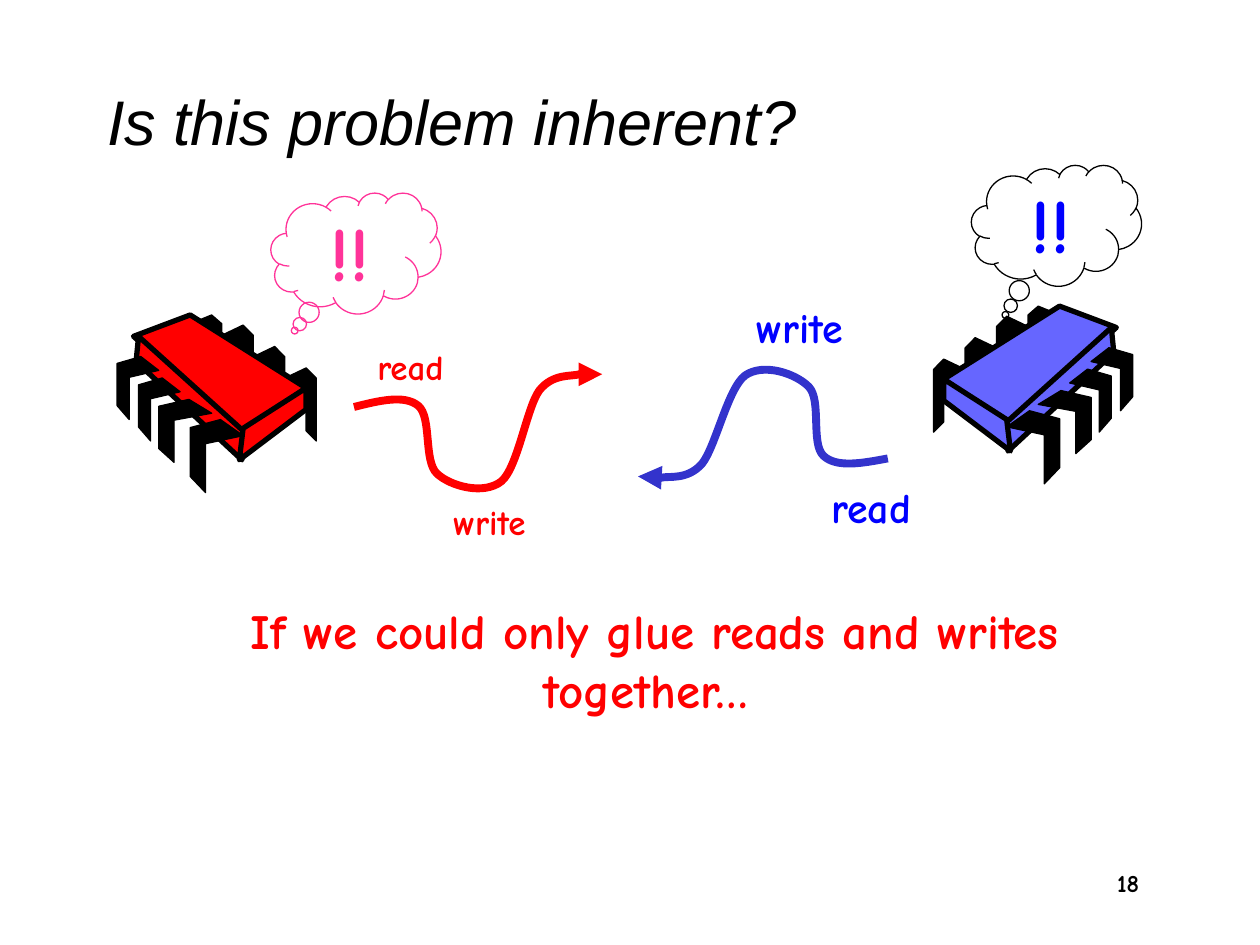
from collections import namedtuple

from lxml import etree
from pptx import Presentation
from pptx.dml.color import RGBColor
from pptx.enum.shapes import MSO_SHAPE as Preset
from pptx.enum.text import MSO_ANCHOR as Anchor, PP_ALIGN as Align
from pptx.oxml.ns import qn
from pptx.util import Inches, Pt

BLACK = RGBColor(0x00, 0x00, 0x00)
RED = RGBColor(0xFF, 0x00, 0x00)
BLUE = RGBColor(0x00, 0x00, 0xFF)
PINK = RGBColor(0xFF, 0x33, 0x99)
LAVENDER = RGBColor(0x66, 0x66, 0xFF)
INDIGO = RGBColor(0x33, 0x33, 0xCC)

COLUMNS, ROWS = 100, 75
WIDTH, HEIGHT = Inches(10), Inches(7.5)
HAND_FONT = "Comic Neue"

Box = namedtuple("Box", "left top width height")

BACK_LEG = [(0, 0.14), (0.68, 0), (1, 0.14), (1, 1), (0.68, 0.86), (0.68, 0.29), (0, 0.43)]
FRONT_LEG = [(0.57, 0), (1, 0.22), (0.29, 0.33), (0.29, 1), (0, 0.78), (0, 0.11)]
BACK_LEG_BOXES = [Box(13.3, 4.2, 2.5, 5.8), Box(10.8, 2.5, 2.5, 5.8),
                  Box(8.3, 0.8, 2.5, 5.8), Box(5.8, 0, 2.5, 5)]
FRONT_LEG_BOXES = [Box(5.8, 8.3, 4.2, 5.8), Box(3.3, 6.7, 4.2, 5),
                   Box(1.7, 5, 3.3, 5), Box(0, 3.3, 3.3, 5)]
CHIP_FACES = [
    [(5.8, 0), (15, 5.8), (9.9, 9.3), (1.3, 1.7)],
    [(1.7, 1.7), (10, 9.2), (9.9, 11.5), (1.5, 3.7)],
    [(15, 5.8), (15, 7.5), (9.7, 11.5), (10, 9)],
]
WAVE = [
    (0, 2.9), (2, 2.4), (4, 1.9), (5.1, 2.8), (6.2, 3.7), (5.5, 7.2), (6.6, 8.2),
    (7.7, 9.2), (10.3, 9.9), (11.7, 8.8), (13, 7.7), (13.7, 3), (14.7, 1.6),
    (15.8, 0.2), (17.3, 0.5), (17.9, 0.3), (18.6, 0), (18.5, 0.3), (18.8, 0.3),
    (19.1, 0.3), (19.4, 0.3), (19.7, 0.3),
]


def on_grid(column, row):
    return round(column * WIDTH / COLUMNS), round(row * HEIGHT / ROWS)


def on_slide(box):
    return on_grid(box.left, box.top) + on_grid(box.width, box.height)


def style_shape(shape, fill, line, weight):
    shape.shadow.inherit = False
    if fill is None:
        shape.fill.background()
    else:
        shape.fill.solid()
        shape.fill.fore_color.rgb = fill
    shape.line.color.rgb = line
    shape.line.width = Pt(weight)


def write_text(frame, text, size, color, align, font=HAND_FONT, bold=True):
    para = frame.paragraphs[0]
    para.text = text
    para.alignment = align
    para.font.name = font
    para.font.size = Pt(size)
    para.font.bold = bold
    para.font.color.rgb = color
    return para


def add_outline(shapes, box, points, closed=True):
    spots = [on_grid(box.left + x, box.top + y) for x, y in points]
    builder = shapes.build_freeform(*spots[0])
    builder.add_line_segments(spots[1:], close=closed)
    return builder.convert_to_shape()


def add_chip(page, box, color, mirrored=False):
    shapes = page.shapes.add_group_shape().shapes

    def add_part(points, fill, weight):
        if mirrored:
            points = [(box.width - x, y) for x, y in points]
        style_shape(add_outline(shapes, box, points), fill, BLACK, weight)

    def add_legs(outline, leg_boxes):
        for leg in leg_boxes:
            points = [(leg.left + x * leg.width, leg.top + y * leg.height) for x, y in outline]
            add_part(points, BLACK, 0.75)

    add_legs(BACK_LEG, BACK_LEG_BOXES)
    for face in CHIP_FACES:
        add_part(face, color, 3)
    add_legs(FRONT_LEG, FRONT_LEG_BOXES)


def add_wave(page, box, color, rotation=0):
    wave = add_outline(page.shapes, box, WAVE, closed=False)
    style_shape(wave, None, color, 4.5)
    wave.rotation = rotation
    outline = next(wave.element.iter(qn("a:path")))
    steps = outline.findall(qn("a:lnTo"))
    for start in range(0, len(steps), 3):
        curve = etree.SubElement(outline, qn("a:cubicBezTo"))
        for step in steps[start:start + 3]:
            curve.append(step[0])
            outline.remove(step)
    etree.SubElement(wave.line._get_or_add_ln(), qn("a:tailEnd"), type="triangle")


def add_label(page, box, text, size, color, align=Align.RIGHT, wrap=False):
    frame = page.shapes.add_textbox(*on_slide(box)).text_frame
    frame.word_wrap = wrap
    write_text(frame, text, size, color, align)


def add_thought(page, box, tail, line, color):
    cloud = page.shapes.add_shape(Preset.CLOUD_CALLOUT, *on_slide(box))
    cloud.adjustments[0], cloud.adjustments[1] = tail
    style_shape(cloud, None, line, 0.75)
    cloud.text_frame.vertical_anchor = Anchor.MIDDLE
    write_text(cloud.text_frame, "!!", 44, color, Align.CENTER)


def add_title(page, box, text):
    title = page.shapes.title
    title.left, title.top, title.width, title.height = on_slide(box)
    title.text_frame.vertical_anchor = Anchor.MIDDLE
    para = write_text(title.text_frame, text, 36, BLACK, Align.LEFT, "Arial", False)
    para.font.italic = True


def main():
    deck = Presentation()
    deck.slide_width, deck.slide_height = WIDTH, HEIGHT
    page = deck.slides.add_slide(deck.slide_layouts[5])
    add_title(page, Box(7.5, 3.3, 85, 12.5), "Is this problem inherent?")
    add_chip(page, Box(9.3, 25, 15.8, 14.2), RED)
    add_chip(page, Box(74.1, 24.3, 15.8, 14.2), LAVENDER, mirrored=True)
    add_wave(page, Box(28.1, 29.4, 19.7, 9.9), RED)
    add_wave(page, Box(50.9, 28.8, 19.7, 9.9), INDIGO, rotation=183.4)
    add_label(page, Box(17.5, 47.2, 68.9, 10.3),
              "If we could only glue reads and writes together… ", 28, RED, Align.CENTER, True)
    add_label(page, Box(28.3, 26.9, 7.9, 4.3), "read", 20, RED)
    add_label(page, Box(33.8, 39.2, 8.9, 4.3), "write", 20, RED)
    add_label(page, Box(64.2, 37.7, 9.1, 5), "read", 24, BLUE)
    add_label(page, Box(57.7, 23.4, 10.2, 5), "write", 24, BLUE)
    add_thought(page, Box(21.5, 15.3, 13.5, 9.6), (-0.36, 0.64), PINK, PINK)
    add_thought(page, Box(77.1, 13.1, 13.5, 9.6), (-0.3, 0.74), BLACK, BLUE)
    add_label(page, Box(70.6, 68.4, 20.8, 5), "18", 14, BLACK, wrap=True)
    deck.save("out.pptx")


if __name__ == "__main__":
    main()
